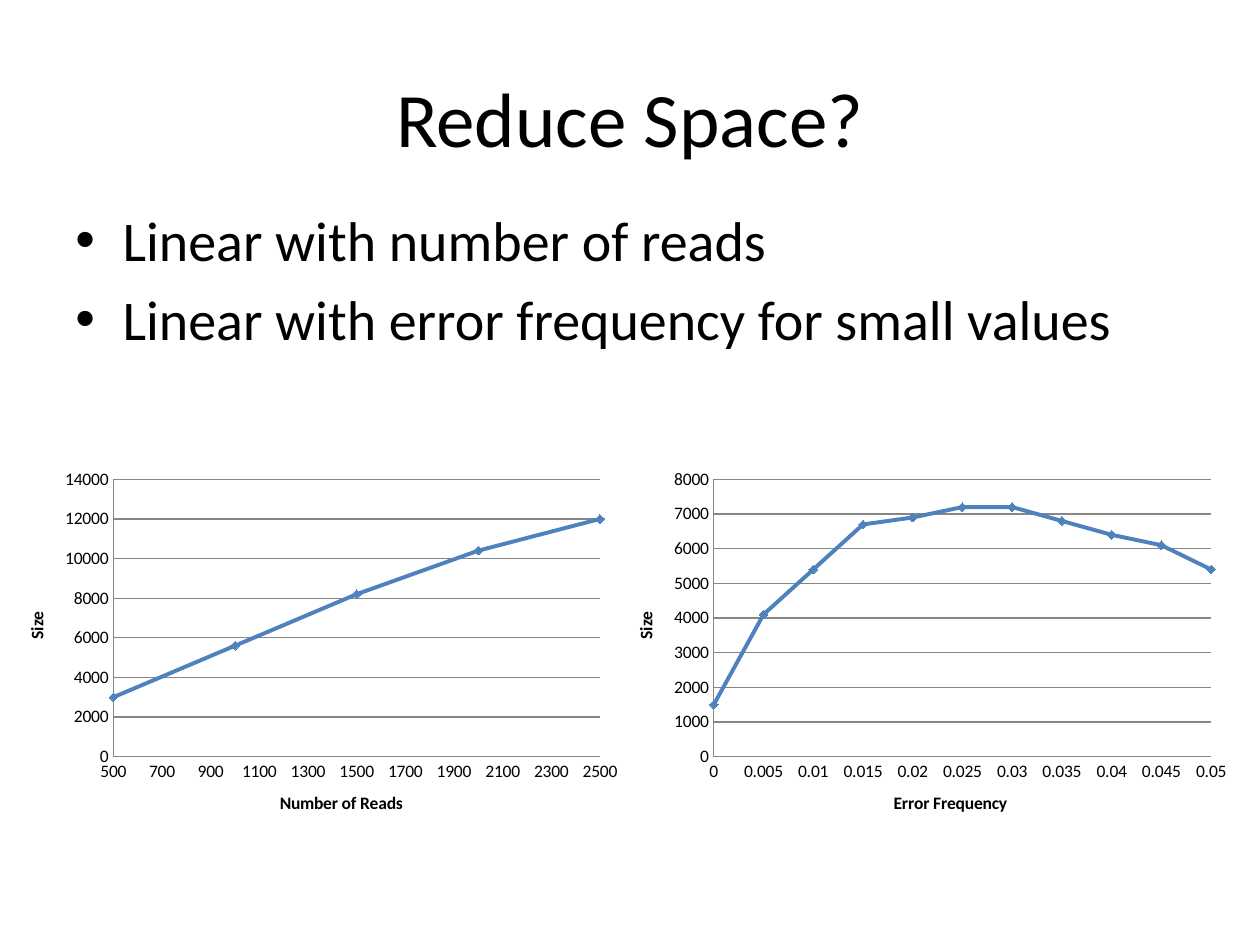
from dataclasses import dataclass

from lxml.etree import SubElement
from pptx import Presentation
from pptx.chart.data import XyChartData
from pptx.dml.color import RGBColor
from pptx.enum.chart import XL_CHART_TYPE, XL_MARKER_STYLE, XL_TICK_MARK
from pptx.enum.text import MSO_ANCHOR, PP_ALIGN
from pptx.oxml.ns import qn
from pptx.util import Pt

BLACK = RGBColor(0x00, 0x00, 0x00)
BLUE = RGBColor(0x4F, 0x81, 0xBD)
GRAY = RGBColor(0x86, 0x86, 0x86)
FONT = "Calibri"
INDENT = Pt(27)


@dataclass
class SizePlot:
    left: float
    x_title: str
    x_max: float
    x_step: float
    y_max: float
    y_step: float
    sizes: list[int]
    x_min: float = 0


PLOTS = [
    SizePlot(0, "Number of Reads", 2500, 200, 14000, 2000,
             [3000, 5600, 8200, 10400, 12000], x_min=500),
    SizePlot(348, "Error Frequency", 0.05, 0.005, 8000, 1000,
             [1500, 4100, 5400, 6700, 6900, 7200, 7200, 6800, 6400, 6100, 5400]),
]


def style_font(font, size: float, bold: bool = False) -> None:
    font.name = FONT
    font.size = Pt(size)
    font.bold = bold
    font.color.rgb = BLACK


def add_bullet(paragraph) -> None:
    properties = paragraph._p.get_or_add_pPr()
    properties.set("marL", str(INDENT))
    properties.set("indent", str(-INDENT))
    SubElement(properties, qn("a:buFont"), typeface="Arial")
    SubElement(properties, qn("a:buChar"), char="•")


def add_text(slide, lines: list[str], top: float, height: float, *, size: float,
             align=PP_ALIGN.LEFT, anchor=MSO_ANCHOR.TOP,
             space_before: float = 0, bulleted: bool = False) -> None:
    frame = slide.shapes.add_textbox(Pt(36), Pt(top), Pt(648), Pt(height)).text_frame
    frame.word_wrap = True
    frame.vertical_anchor = anchor
    for index, line in enumerate(lines):
        paragraph = frame.add_paragraph() if index else frame.paragraphs[0]
        paragraph.alignment = align
        paragraph.space_before = Pt(space_before)
        if bulleted:
            add_bullet(paragraph)
        run = paragraph.add_run()
        run.text = line
        style_font(run.font, size)


def style_axis(axis, title: str, low: float, high: float, step: float) -> None:
    axis.minimum_scale = low
    axis.maximum_scale = high
    axis.major_unit = step
    axis.major_tick_mark = axis.minor_tick_mark = XL_TICK_MARK.NONE
    axis.format.line.color.rgb = GRAY
    axis.format.line.width = Pt(0.75)
    axis.tick_labels.number_format = "General"
    axis.tick_labels.number_format_is_linked = False
    style_font(axis.tick_labels.font, 10)
    axis.axis_title.text_frame.text = title
    style_font(axis.axis_title.text_frame.paragraphs[0].runs[0].font, 10, bold=True)


def add_plot(slide, plot: SizePlot) -> None:
    data = XyChartData()
    points = data.add_series("Series 1")
    # Points are spread evenly over the whole x axis.
    spacing = (plot.x_max - plot.x_min) / (len(plot.sizes) - 1)
    for index, size in enumerate(plot.sizes):
        points.add_data_point(round(plot.x_min + index * spacing, 3), size)

    chart = slide.shapes.add_chart(XL_CHART_TYPE.XY_SCATTER_LINES, Pt(plot.left),
                                   Pt(264), Pt(360), Pt(216), data).chart
    chart.has_title = False
    chart.has_legend = False
    style_font(chart.font, 10)
    style_axis(chart.category_axis, plot.x_title, plot.x_min, plot.x_max, plot.x_step)
    style_axis(chart.value_axis, "Size", 0, plot.y_max, plot.y_step)
    chart.category_axis.has_major_gridlines = False
    chart.value_axis.has_major_gridlines = True
    gridline = chart.value_axis.major_gridlines.format.line
    gridline.color.rgb = GRAY
    gridline.width = Pt(0.75)

    chart.plots[0].vary_by_categories = False
    series = chart.plots[0].series[0]
    series.smooth = False
    series.format.line.color.rgb = BLUE
    series.format.line.width = Pt(2.25)
    marker = series.marker
    marker.style = XL_MARKER_STYLE.DIAMOND
    marker.size = 5
    marker.format.fill.solid()
    marker.format.fill.fore_color.rgb = BLUE
    marker.format.line.color.rgb = BLUE


def main() -> None:
    presentation = Presentation()
    presentation.slide_width = Pt(720)
    presentation.slide_height = Pt(540)
    slide = presentation.slides.add_slide(presentation.slide_layouts[6])
    add_text(slide, ["Reduce Space?"], 21.6, 90, size=44,
             align=PP_ALIGN.CENTER, anchor=MSO_ANCHOR.MIDDLE)
    for plot in PLOTS:
        add_plot(slide, plot)
    add_text(slide, ["Linear with number of reads",
                     "Linear with error frequency for small values"],
             114, 120, size=32, space_before=6.4, bulleted=True)
    presentation.save("out.pptx")


if __name__ == "__main__":
    main()
